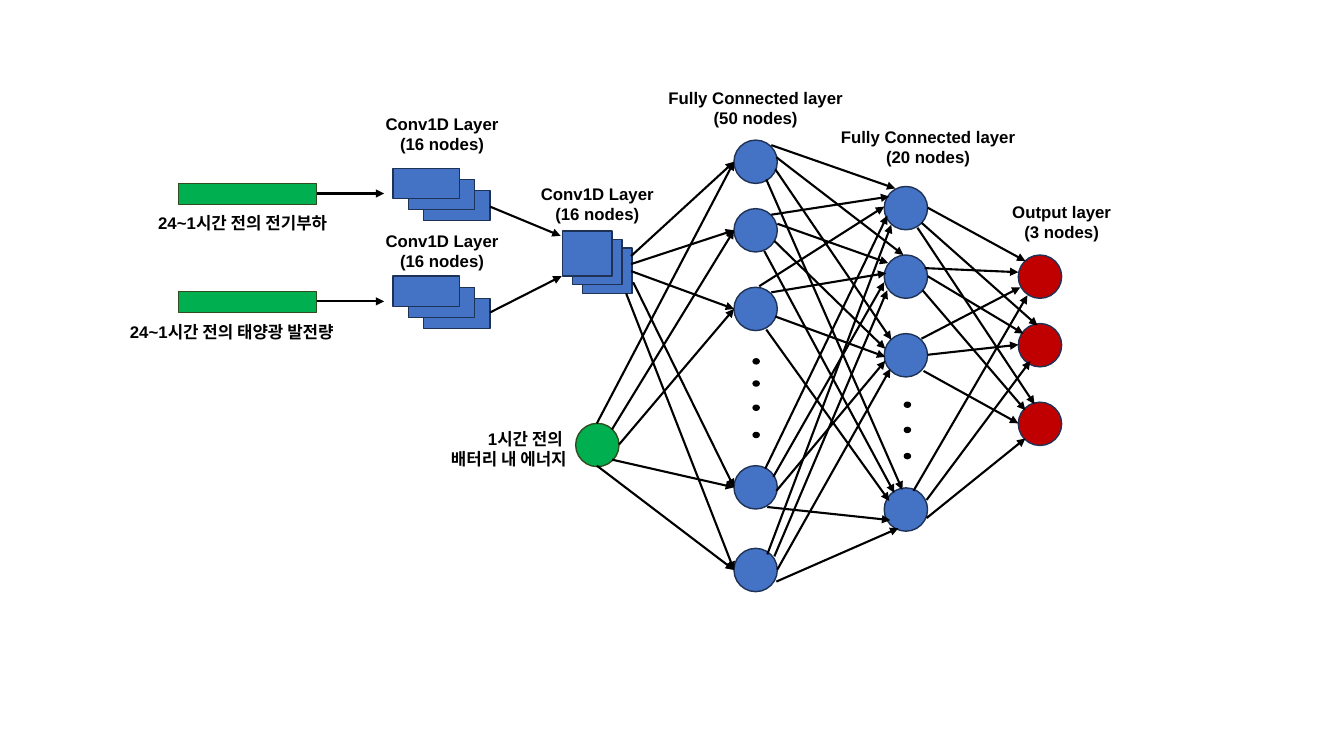
from lxml import etree
from pptx import Presentation
from pptx.dml.color import RGBColor
from pptx.enum.shapes import MSO_CONNECTOR, MSO_SHAPE
from pptx.enum.text import MSO_AUTO_SIZE, PP_ALIGN
from pptx.oxml.ns import qn
from pptx.util import Inches, Pt

RECT, OVAL = MSO_SHAPE.RECTANGLE, MSO_SHAPE.OVAL
STRAIGHT = MSO_CONNECTOR.STRAIGHT
LEFT, CENTER, RIGHT = PP_ALIGN.LEFT, PP_ALIGN.CENTER, PP_ALIGN.RIGHT
FIT_SHAPE = MSO_AUTO_SIZE.SHAPE_TO_FIT_TEXT

GREEN, DARK_GREEN = "00B050", "314C1F"
BLUE, NAVY = "4472C4", "1E3256"
RED, BLACK = "C00000", "000000"

NODE = 0.43
INPUT_TOPS = (1.82, 2.89)
BATTERY = (5.71, 4.2)
# Node columns: left edge, node tops, fill
FC50 = (7.28, (1.39, 2.07, 2.85, 4.62, 5.44), BLUE)
FC20 = (8.77, (1.85, 2.53, 3.31, 4.84), BLUE)
OUTPUT = (10.1, (2.53, 3.21, 3.99), RED)
# Ellipsis dots: left edge, tops
DOTS = ((7.47, (3.56, 3.78, 4.02, 4.29)), (8.97, (3.99, 4.24, 4.5)))

# Arrow starts towards the five FC50 nodes, top to bottom
MERGE_STARTS = ((6.26, 2.54), (6.26, 2.62), (6.26, 2.69), (6.28, 2.8), (6.21, 2.91))
BATTERY_STARTS = ((5.92, 4.2), (6.07, 4.26), (6.14, 4.41), (6.07, 4.56), (5.92, 4.62))

# Arrows as x1, y1, x2, y2, one row per source node
CONV_ARROWS = ((4.86, 2.05, 5.56, 2.34), (4.86, 3.1, 5.57, 2.74))
FC50_ARROWS = (
    (7.65, 1.44, 8.88, 1.87), (7.7, 1.56, 8.96, 2.53), (7.69, 1.68, 8.84, 3.37), (7.6, 1.78, 8.95, 4.86),
    (7.65, 2.13, 8.82, 1.95), (7.71, 2.22, 8.81, 2.61), (7.68, 2.39, 8.78, 3.46), (7.58, 2.49, 8.87, 4.89),
    (7.53, 2.84, 8.77, 2.05), (7.65, 2.9, 8.79, 2.71), (7.69, 3.14, 8.78, 3.54), (7.6, 3.27, 8.82, 4.97),
    (7.59, 4.65, 8.8, 2.14), (7.67, 4.73, 8.77, 2.8), (7.7, 4.87, 8.78, 3.58), (7.61, 5.03, 8.83, 5.16),
    (7.61, 5.5, 8.84, 2.23), (7.68, 5.52, 8.8, 2.88), (7.71, 5.65, 8.83, 3.66), (7.7, 5.77, 8.91, 5.24),
)
FC20_ARROWS = (
    (9.2, 2.06, 10.17, 2.59), (9.14, 2.21, 10.29, 3.23), (9.1, 2.26, 10.26, 4.01),
    (9.17, 2.66, 10.1, 2.7), (9.2, 2.74, 10.15, 3.31), (9.15, 2.88, 10.17, 4.07),
    (9.14, 3.36, 10.12, 2.85), (9.2, 3.52, 10.1, 3.42), (9.16, 3.68, 10.1, 4.2),
    (9.06, 4.87, 10.19, 2.93), (9.19, 4.96, 10.22, 3.58), (9.19, 5.14, 10.17, 4.35),
)

# Labels: left, top, width, height, alignment, text
LABELS = (
    (1.47, 2.06, 2.02, 0.3, LEFT, "24~1시간 전의 전기부하"),
    (1.19, 3.14, 2.4, 0.3, LEFT, "24~1시간 전의 태양광 발전량"),
    (3.72, 1.08, 1.33, 0.5, CENTER, "Conv1D Layer\n(16 nodes)"),
    (3.72, 2.24, 1.33, 0.5, CENTER, "Conv1D Layer\n(16 nodes)"),
    (5.26, 1.77, 1.33, 0.5, CENTER, "Conv1D Layer\n(16 nodes)"),
    (6.52, 0.82, 1.95, 0.5, CENTER, "Fully Connected layer\n(50 nodes)"),
    (8.23, 1.21, 1.95, 0.5, CENTER, "Fully Connected layer\n(20 nodes)"),
    (9.92, 1.95, 1.22, 0.5, CENTER, "Output layer\n(3 nodes)"),
    (4.22, 4.2, 1.5, 0.5, RIGHT, "1시간 전의 \n배터리 내 에너지"),
)


def rgb(color):
    return RGBColor.from_string(color)


def add_block(s, kind, x, y, w, h, fill, line=NAVY):
    sp = s.shapes.add_shape(kind, Inches(x), Inches(y), Inches(w), Inches(h))
    sp.shadow.inherit = False
    sp.fill.solid()
    sp.fill.fore_color.rgb = rgb(fill)
    sp.line.color.rgb = rgb(line)
    sp.line.width = Pt(1)


def add_stack(s, x, y, w, h, dx, dy):
    """Three overlapping sheets, the top-left one in front."""
    for i in (2, 1, 0):
        add_block(s, RECT, x + i * dx, y + i * dy, w, h, BLUE)


def add_nodes(s, x, tops, fill):
    for y in tops:
        add_block(s, OVAL, x, y, NODE, NODE, fill)


def add_arrow(s, x1, y1, x2, y2):
    cn = s.shapes.add_connector(STRAIGHT, Inches(x1), Inches(y1), Inches(x2), Inches(y2))
    cn.line.color.rgb = rgb(BLACK)
    cn.line.width = Pt(1.5)
    etree.SubElement(cn.line._get_or_add_ln(), qn("a:tailEnd"), type="triangle")
    etree.SubElement(cn._element.spPr, qn("a:effectLst"))


def add_label(s, x, y, w, h, align, text):
    tf = s.shapes.add_textbox(Inches(x), Inches(y), Inches(w), Inches(h)).text_frame
    tf.word_wrap = False
    tf.auto_size = FIT_SHAPE
    tf.text = text
    for p in tf.paragraphs:
        p.alignment = align
        for r in p.runs:
            r.font.name = "Arial"
            r.font.size = Pt(12)
            r.font.bold = True
            r.font.color.rgb = rgb(BLACK)


def main():
    prs = Presentation()
    prs.slide_width, prs.slide_height = Inches(13.33), Inches(7.5)
    s = prs.slides.add_slide(prs.slide_layouts[6])

    # Input bars with their convolution stacks
    for y in INPUT_TOPS:
        add_block(s, RECT, 1.77, y, 1.37, 0.21, GREEN, DARK_GREEN)
        add_stack(s, 3.9, y - 0.15, 0.66, 0.3, 0.15, 0.11)
        add_arrow(s, 3.14, y + 0.1, 3.81, y + 0.1)
    add_stack(s, 5.58, 2.29, 0.49, 0.45, 0.1, 0.085)

    # Network nodes and ellipses
    add_block(s, OVAL, *BATTERY, NODE, NODE, GREEN, DARK_GREEN)
    for column in (FC50, FC20, OUTPUT):
        add_nodes(s, *column)
    for x, tops in DOTS:
        for y in tops:
            add_block(s, OVAL, x, y, 0.06, 0.05, BLACK, BLACK)

    # Connections
    left, tops, _ = FC50
    for starts in (MERGE_STARTS, BATTERY_STARTS):
        for start, top in zip(starts, tops):
            add_arrow(s, *start, left, top + NODE / 2)
    for arrow in CONV_ARROWS + FC50_ARROWS + FC20_ARROWS:
        add_arrow(s, *arrow)

    # Labels
    for label in LABELS:
        add_label(s, *label)

    prs.save("out.pptx")


main()
